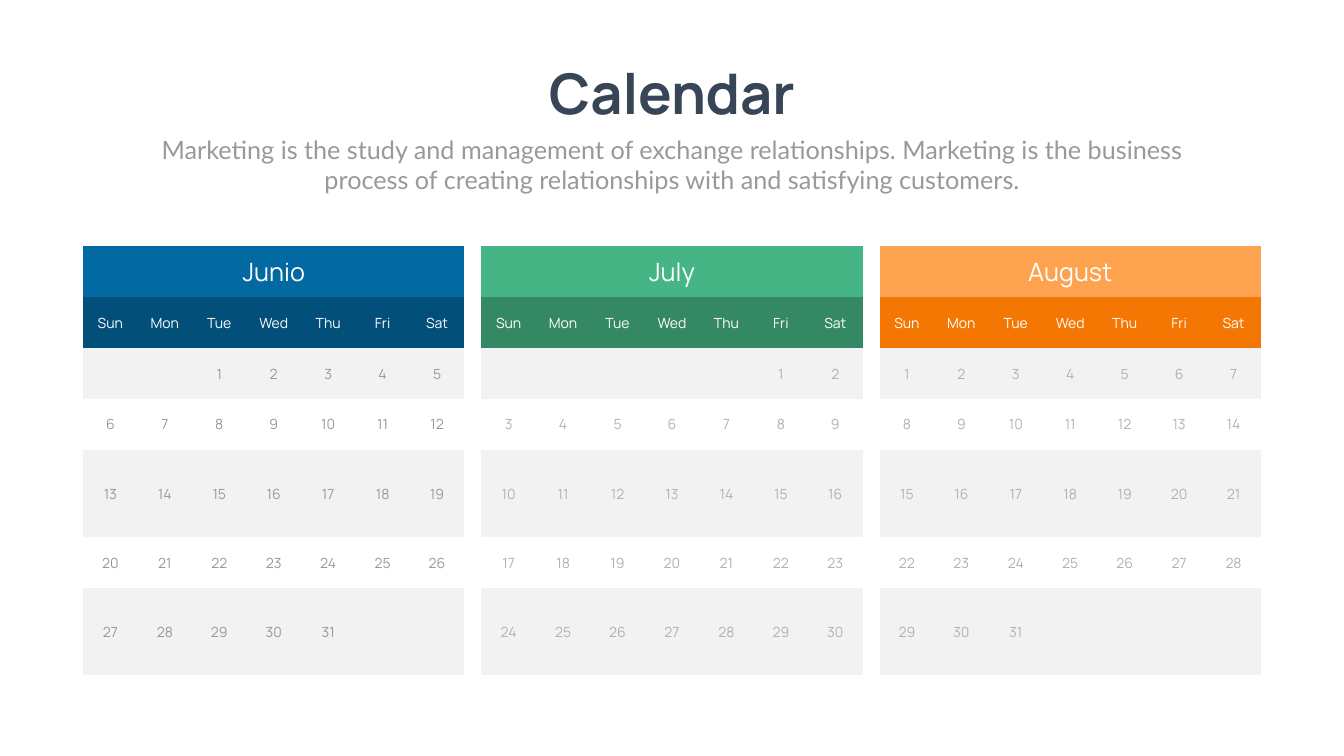
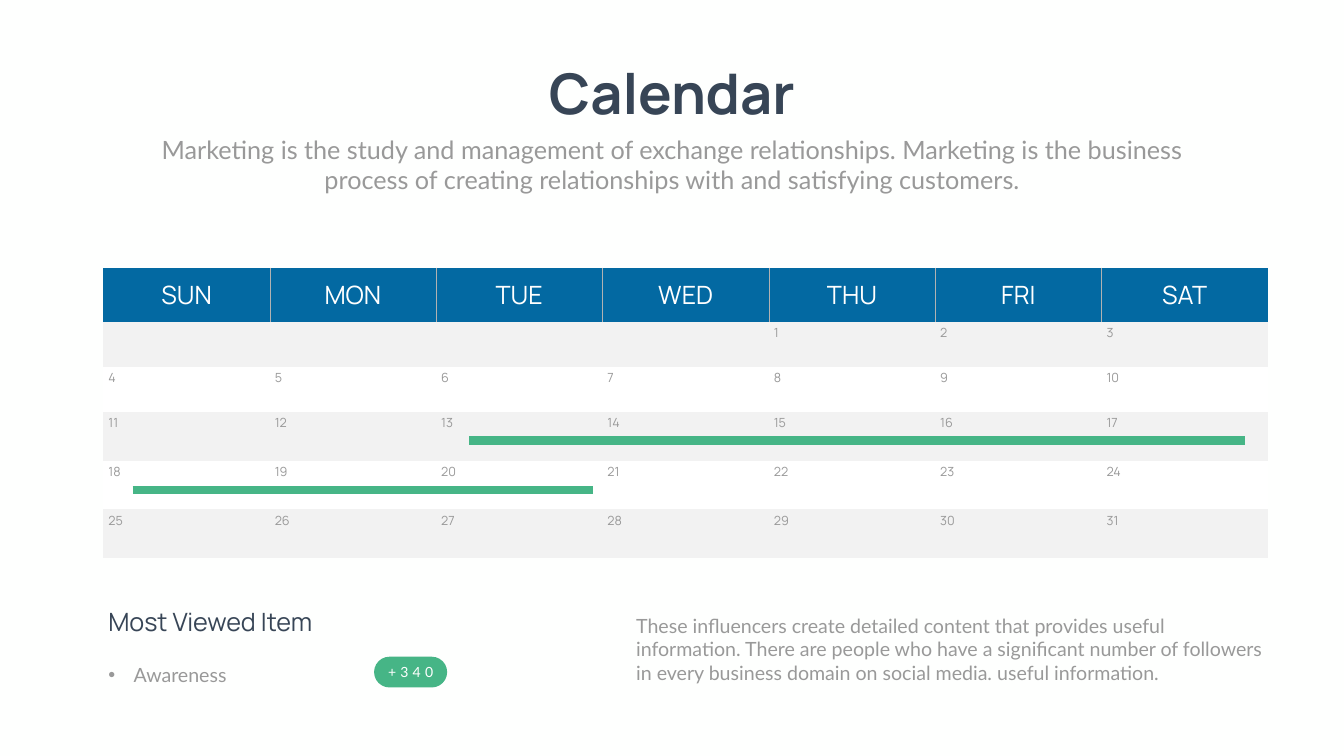
from lxml.etree import SubElement as sub
from pptx import Presentation
from pptx.dml.color import RGBColor
from pptx.enum.shapes import MSO_CONNECTOR as Line, MSO_SHAPE as Shape
from pptx.enum.text import MSO_ANCHOR as Anchor, MSO_AUTO_SIZE as Fit, PP_ALIGN as Align
from pptx.oxml.ns import qn
from pptx.util import Pt

SCALE = 9144
WIDE, HIGH = 2666, 1500
PAPER = RGBColor(0xFE, 0xFF, 0xFE)
WHITE = RGBColor(0xFF, 0xFF, 0xFF)
BAND = RGBColor(0xF2, 0xF2, 0xF2)
NAVY = RGBColor(0x37, 0x45, 0x56)
GREY = RGBColor(0x99, 0x99, 0x99)
PALE = RGBColor(0xB2, 0xB2, 0xB2)
BLUE = RGBColor(0x03, 0x69, 0xA2)
DEEP = RGBColor(0x02, 0x4F, 0x7A)
GREEN = RGBColor(0x46, 0xB5, 0x86)
PINE = RGBColor(0x35, 0x88, 0x64)
PEACH = RGBColor(0xFD, 0xA2, 0x4E)
ORANGE = RGBColor(0xF5, 0x77, 0x03)
HEAD, BODY = "Manrope", "Lato"
PLAIN = "{2D5ABB26-0587-4C30-8999-92F81FD0307C}"
DAYS = ["Sun", "Mon", "Tue", "Wed", "Thu", "Fri", "Sat"]
LEAD = ("Marketing is the study and management of exchange relationships. "
        "Marketing is the business process of creating relationships with "
        "and satisfying customers.")
NOTE = ("These influencers create detailed content that provides useful "
        "information. There are people who have a significant number of "
        "followers in every business domain on social media. useful information.")


def px(*nums):
    return [num * SCALE for num in nums]


def write(frame, text, size=28, face=BODY, color=GREY, bold=False,
          align=Align.LEFT, space=0, lines=None, bullet=None):
    para = frame.paragraphs[0]
    run = para.add_run()
    run.text = text
    para.alignment = align
    if lines:
        para.line_spacing = lines
    if bullet:
        props = para._p.get_or_add_pPr()
        props.set("marL", str(50 * SCALE))
        props.set("indent", str(-50 * SCALE))
        para.space_before = Pt(0)
        sub(props, qn("a:buChar")).set("char", bullet)
    font = run.font
    font.size, font.name, font.bold = Pt(size), face, bold
    font.color.rgb = color
    if space:
        run._r.get_or_add_rPr().set("spc", str(space * 100))


def weeks(start, count):
    cells = [""] * start + [str(day + 1) for day in range(count)]
    cells += [""] * (-len(cells) % 7)
    return [cells[at:at + 7] for at in range(0, len(cells), 7)]


class Deck:
    def __init__(self):
        self.file = Presentation()
        self.file.slide_width, self.file.slide_height = px(WIDE, HIGH)
        fill = self.file.slide_master.background.fill
        fill.solid()
        fill.fore_color.rgb = PAPER

    def page(self, layout):
        self.slide = self.file.slides.add_slide(self.file.slide_layouts[layout])
        self.fill_in(0, (1053, 112, 560, 145), "Calendar", wrap=False, size=80,
                     face=HEAD, color=NAVY, bold=True, align=Align.CENTER)
        self.label((292, 261, 2082, 131), LEAD, size=36, align=Align.CENTER)

    def setup(self, shape, text, wrap, style):
        frame = shape.text_frame
        frame.word_wrap = wrap
        frame.auto_size = Fit.SHAPE_TO_FIT_TEXT
        frame.vertical_anchor = Anchor.TOP
        write(frame, text, **style)

    def fill_in(self, index, box, text, wrap=True, **style):
        shape = self.slide.placeholders[index]
        shape.left, shape.top, shape.width, shape.height = px(*box)
        self.setup(shape, text, wrap, style)

    def label(self, box, text, wrap=True, **style):
        self.setup(self.slide.shapes.add_textbox(*px(*box)), text, wrap, style)

    def pill(self, box, color):
        shape = self.slide.shapes.add_shape(Shape.ROUNDED_RECTANGLE, *px(*box))
        shape.adjustments[0] = 0.5
        shape.shadow.inherit = False
        shape.fill.solid()
        shape.fill.fore_color.rgb = color
        shape.line.fill.background()

    def bar(self, left, right, top):
        line = self.slide.shapes.add_connector(
            Line.STRAIGHT, *px(left, top, right, top))
        line.line.color.rgb = GREEN
        line.line.width = Pt(12)
        sub(line._element.spPr, qn("a:effectLst"))

    def grid(self, left, top, width, rows):
        frame = self.slide.shapes.add_table(
            len(rows), 7, *px(left, top, width * 7, sum(rows)))
        next(frame.element.iter(qn("a:tableStyleId"))).text = PLAIN
        table = frame.table
        table.first_row = table.horz_banding = False
        for col in table.columns:
            col.width = width * SCALE
        for row, tall in zip(table.rows, rows):
            row.height = tall * SCALE
        return table

    def cell(self, cell, text, fill, anchor=Anchor.MIDDLE, **style):
        cell.fill.solid()
        cell.fill.fore_color.rgb = fill
        cell.vertical_anchor = anchor
        if text:
            write(cell.text_frame, text, face=HEAD, **style)

    def dates(self, table, first, start, count, **style):
        for row, week in enumerate(weeks(start, count)):
            for col, day in enumerate(week):
                self.cell(table.cell(first + row, col), day,
                          WHITE if row % 2 else BAND, **style)

    def edge(self, cell, sides):
        props = cell._tc.get_or_add_tcPr()
        for at, side in enumerate(sides):
            line = sub(props, qn("a:ln" + side))
            line.set("w", str(Pt(0.5)))
            fill = sub(line, qn("a:solidFill"))
            sub(fill, qn("a:srgbClr")).set("val", str(PALE))
            props.insert(at, line)

    def month(self, left, name, light, dark, start, count, color):
        table = self.grid(left, 489, 108, [101, 101, 101, 101, 173, 101, 173])
        table.cell(0, 0).merge(table.cell(0, 6))
        mid = {"align": Align.CENTER}
        for col, day in enumerate(DAYS):
            self.cell(table.cell(0, col), "" if col else name, light,
                      size=36, color=WHITE, **mid)
            self.cell(table.cell(1, col), day, dark, size=20, color=WHITE, **mid)
        self.dates(table, 2, start, count, size=20, color=color, **mid)

    def planner(self):
        table = self.grid(205, 531, 330, [108, 89, 89, 97, 97, 97])
        for col, day in enumerate(DAYS):
            head = table.cell(0, col)
            self.cell(head, day.upper(), BLUE, size=36, color=WHITE,
                      align=Align.CENTER)
            self.edge(head, ["L"] * (col > 0) + ["R"] * (col < 6))
        self.dates(table, 1, 4, 31, anchor=Anchor.TOP, size=18)


def main():
    deck = Deck()
    deck.page(5)
    months = [("Junio", BLUE, DEEP, 2, 31, GREY),
              ("July", GREEN, PINE, 5, 30, PALE),
              ("August", PEACH, ORANGE, 0, 31, PALE)]
    for at, month in enumerate(months):
        deck.month(165 + at * 790, *month)

    deck.page(1)
    deck.planner()
    deck.bar(931, 2470, 874)
    deck.bar(263, 1176, 972)
    deck.label((1252, 1213, 1285, 151), NOTE)
    deck.label((205, 1198, 560, 71), "Most Viewed Item",
               size=36, face=HEAD, color=NAVY)
    deck.fill_in(1, (205, 1287, 413, 71), "Awareness", lines=1.5, bullet="•")
    deck.pill((742, 1303, 145, 61), GREEN)
    deck.label((755, 1312, 119, 44), "+340", wrap=False, size=20, color=WHITE,
               align=Align.CENTER, space=6)
    deck.file.save("out.pptx")


if __name__ == "__main__":
    main()
